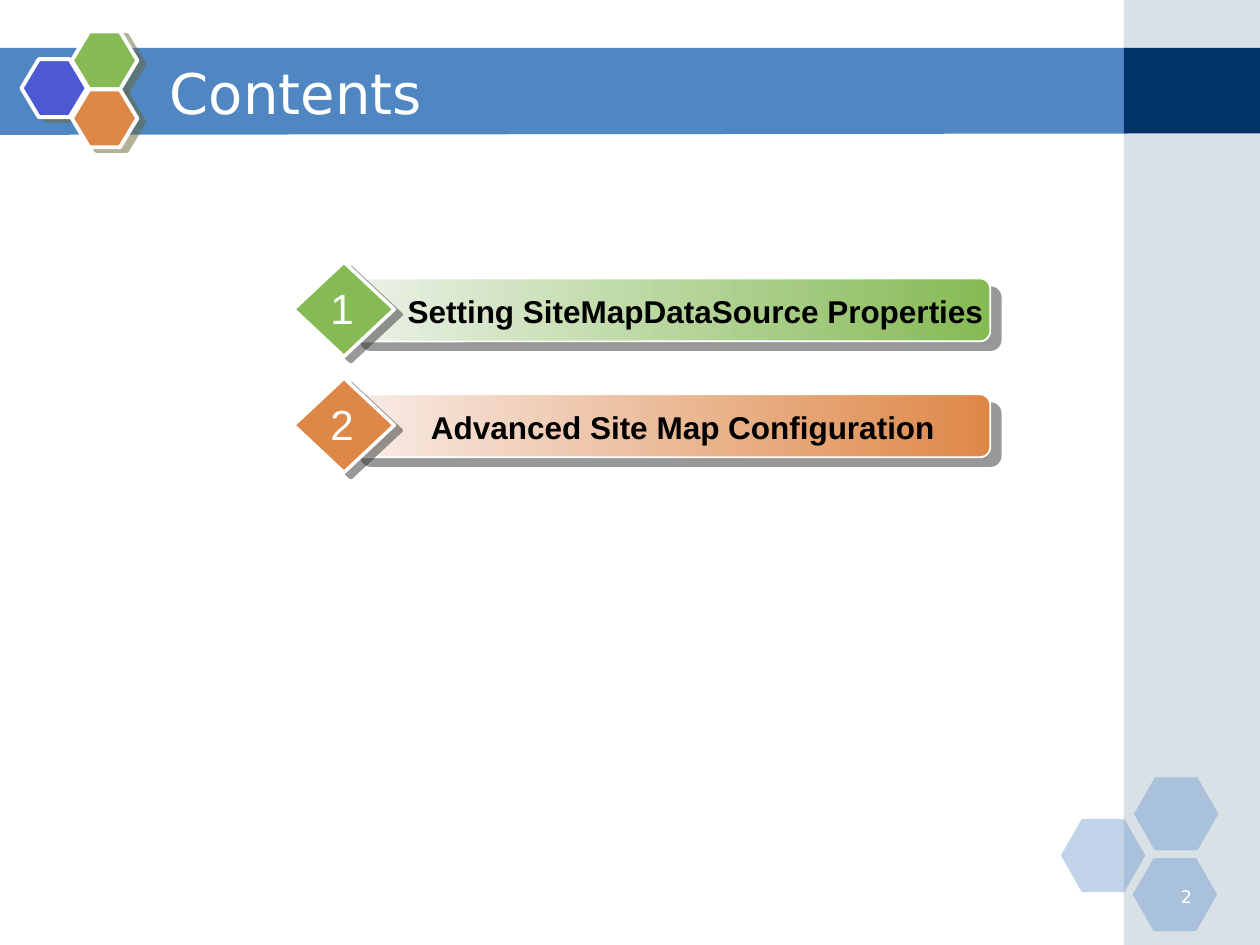
from lxml.etree import SubElement
from pptx import Presentation
from pptx.dml.color import RGBColor
from pptx.enum.shapes import MSO_SHAPE as Preset
from pptx.enum.text import MSO_ANCHOR as Anchor, MSO_AUTO_SIZE as AutoSize, PP_ALIGN as Align
from pptx.oxml.ns import qn
from pptx.util import Inches, Pt

# Grid of 100 columns by 75 rows
WIDTH, HEIGHT = Inches(10), Inches(7.5)
COLUMN, ROW = WIDTH / 100, HEIGHT / 75

WHITE = RGBColor(0xFF, 0xFF, 0xFF)
BLACK = RGBColor(0x00, 0x00, 0x00)
BLUE = RGBColor(0x50, 0x86, 0xC2)
NAVY = RGBColor(0x00, 0x33, 0x66)
GREY_BLUE = RGBColor(0xA0, 0xB5, 0xC4)
VIOLET = RGBColor(0x4C, 0x59, 0xD2)
GREEN = RGBColor(0x85, 0xBA, 0x54)
PALE_GREEN = RGBColor(0xEC, 0xF2, 0xE8)
ORANGE = RGBColor(0xDE, 0x88, 0x48)
PALE_ORANGE = RGBColor(0xF8, 0xEC, 0xE7)
OLIVE = RGBColor(0x66, 0x66, 0x33)
DARK_GREY = RGBColor(0x33, 0x33, 0x33)

HEADING_FONT, BODY_FONT = "DejaVu Sans", "Arial"


def place(column, row, columns, rows):
    """Turn grid units into left, top, width and height."""
    return (round(column * COLUMN), round(row * ROW),
            round(columns * COLUMN), round(rows * ROW))


def set_alpha(color_element, percent):
    SubElement(color_element, qn("a:alpha"), val=str(percent * 1000))


def add_preset(page, preset, cell, color, alpha=None, outline=None, adjust=None):
    shape = page.shapes.add_shape(preset, *place(*cell))
    shape.shadow.inherit = False
    if adjust is not None:
        shape.adjustments[0] = adjust
    shape.fill.solid()
    shape.fill.fore_color.rgb = color
    if alpha is not None:
        set_alpha(shape.element.spPr.find(".//" + qn("a:srgbClr")), alpha)
    if outline is None:
        shape.line.fill.background()
    else:
        shape.line.color.rgb = WHITE
        shape.line.width = Pt(outline)
    return shape


def add_shadow(shape, color, distance, angle):
    effects = shape.element.spPr.find(qn("a:effectLst"))
    shadow = SubElement(effects, qn("a:outerShdw"), blurRad="0", dist=str(Pt(distance)),
                        dir=str(angle * 60000), algn="ctr", rotWithShape="0")
    set_alpha(SubElement(shadow, qn("a:srgbClr"), val=str(color)), 50)


def add_text(page, cell, text, size, font, color, align=Align.LEFT,
             bold=False, wrap=True, grow=False, anchor=Anchor.TOP):
    box = page.shapes.add_textbox(*place(*cell))
    frame = box.text_frame
    frame.text = text
    frame.word_wrap = wrap
    frame.vertical_anchor = anchor
    frame.auto_size = AutoSize.SHAPE_TO_FIT_TEXT if grow else AutoSize.NONE
    para = frame.paragraphs[0]
    para.alignment = align
    span = para.runs[0]
    span.font.size = Pt(size)
    span.font.name = font
    span.font.bold = bold
    span.font.color.rgb = color


def add_banner(page):
    """Header band whose lower edge slopes slightly."""
    builder = page.shapes.build_freeform(round(-0.1 * COLUMN), round(3.8 * ROW))
    corners = [(89.5, 3.8), (89.5, 10.6), (-0.1, 10.7)]
    builder.add_line_segments([(round(x * COLUMN), round(y * ROW)) for x, y in corners])
    banner = builder.convert_to_shape()
    banner.shadow.inherit = False
    banner.fill.solid()
    banner.fill.fore_color.rgb = BLUE
    banner.line.fill.background()


def add_item(page, number, label, label_cell, row, color, pale):
    """Numbered diamond in front of a gradient bar."""
    bar = add_preset(page, Preset.ROUNDED_RECTANGLE, (27.8, row + 1.3, 50.8, 5),
                     color, outline=1, adjust=0.167)
    bar.fill.gradient()
    bar.fill.gradient_angle = 0
    for stop, shade in zip(bar.fill.gradient_stops, (pale, color)):
        stop.color.rgb = shade
    add_shadow(bar, DARK_GREY, 7.8, 40)

    diamond = add_preset(page, Preset.DIAMOND, (23.3, row, 8, 7.5), color, outline=2)
    add_shadow(diamond, DARK_GREY, 5, 37)

    left, columns = label_cell
    add_text(page, (left, row + 1.9, columns, 4), label, 18, BODY_FONT, BLACK,
             Align.CENTER, bold=True, grow=True)
    add_text(page, (25.1, row + 1.1, 4.1, 5), str(number), 24, BODY_FONT, WHITE,
             Align.CENTER, wrap=False, grow=True)


def main():
    deck = Presentation()
    deck.slide_width, deck.slide_height = WIDTH, HEIGHT
    page = deck.slides.add_slide(deck.slide_layouts[6])

    # Header band and right-hand column
    add_banner(page)
    add_preset(page, Preset.RECTANGLE, (89.2, 0, 10.8, 75), GREY_BLUE, alpha=40)
    add_preset(page, Preset.RECTANGLE, (89.2, 3.8, 10.8, 6.8), NAVY)

    # Translucent hexagons in the corner
    for column, row in [(84.2, 65), (90, 61.7), (89.9, 68.1)]:
        add_preset(page, Preset.HEXAGON, (column, row, 6.7, 5.8), BLUE,
                   alpha=35, adjust=0.286)

    # Hexagon cluster beside the title
    for column, row, color in [(1.7, 4.7, VIOLET), (5.7, 2.5, GREEN), (5.7, 7.1, ORANGE)]:
        hexagon = add_preset(page, Preset.HEXAGON, (column, row, 5.2, 4.6), color,
                             outline=2.25, adjust=0.3)
        add_shadow(hexagon, OLIVE, 4.5, 27)

    add_text(page, (12.5, 4.2, 73.3, 6.2), "Contents", 32, HEADING_FONT, WHITE,
             anchor=Anchor.MIDDLE)

    # Contents list
    items = [
        ("Setting SiteMapDataSource Properties", (31.1, 48.2), GREEN, PALE_GREEN),
        ("Advanced Site Map Configuration", (30.5, 47.4), ORANGE, PALE_ORANGE),
    ]
    for index, (label, label_cell, color, pale) in enumerate(items):
        add_item(page, index + 1, label, label_cell, 20.8 + 9.2 * index, color, pale)

    # Page number
    add_text(page, (90.6, 69.8, 5, 2.5), "2", 10, HEADING_FONT, WHITE, Align.RIGHT)

    deck.save("out.pptx")


if __name__ == "__main__":
    main()
